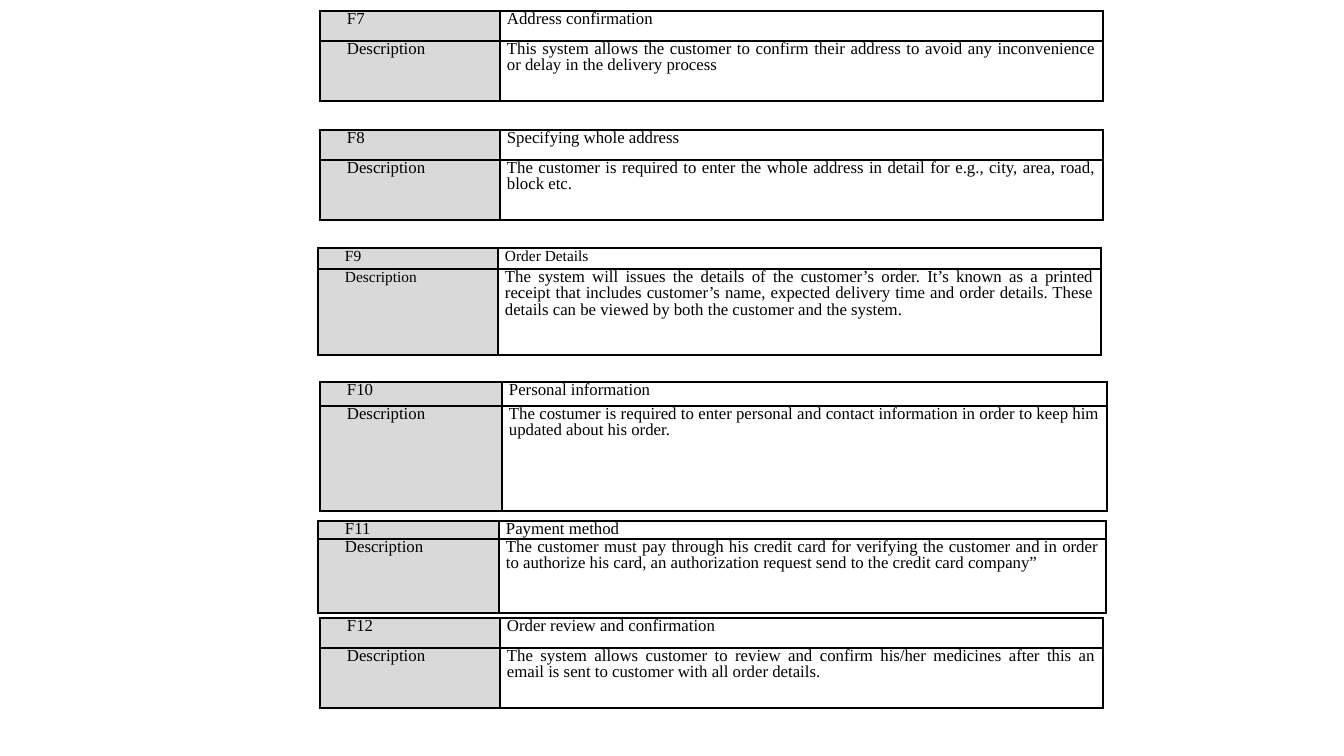
from dataclasses import dataclass
from lxml.etree import SubElement
from pptx import Presentation
from pptx.dml.color import RGBColor
from pptx.enum.text import PP_ALIGN
from pptx.oxml.ns import qn
from pptx.util import Pt


@dataclass
class Theme:
    font: str = "Times New Roman"
    ink: str = "000000"
    label_fill: str = "D9D9D9"
    size: int = 12
    small: int = 11
    leading: int = 12
    space_after: int = 6
    outer: float = 1.5
    inner: float = 1


theme = Theme()


def px(n):
    return round(n * 914400 / 100.8)


def write(cell, text, size=theme.size, align=PP_ALIGN.JUSTIFY, indent=0):
    cell.margin_left = cell.margin_right = px(7)
    cell.margin_top = cell.margin_bottom = 0
    p = cell.text_frame.paragraphs[0]
    p.alignment = align
    p.line_spacing = Pt(theme.leading)
    p.space_after = Pt(theme.space_after)
    pPr = p._p.get_or_add_pPr()
    pPr.set("marL", str(px(indent)))
    pPr.set("indent", "0")
    r = p.add_run()
    r.text = text
    r.font.name = theme.font
    r.font.size = Pt(size)
    r.font.color.rgb = RGBColor.from_string(theme.ink)


def set_borders(cell, **widths):
    tcPr = cell._tc.get_or_add_tcPr()
    for side, width in widths.items():
        ln = SubElement(tcPr, qn(f"a:ln{side}"), w=str(Pt(width)))
        fill = SubElement(ln, qn("a:solidFill"))
        SubElement(fill, qn("a:srgbClr"), val=theme.ink)


prs = Presentation()
prs.slide_width, prs.slide_height = px(1344), px(756)
s = prs.slides.add_slide(prs.slide_layouts[6])

# Features: code, title, description, position, column widths, row heights, heading size
features = [
    ("F7", "Address confirmation",
     "This system allows the customer to confirm their address to avoid any "
     "inconvenience or delay in the delivery process",
     (320, 11), (180, 603), (30, 60), theme.size),
    ("F8", "Specifying whole address",
     "The customer is required to enter the whole address in detail for e.g., "
     "city, area, road, block etc.",
     (320, 130), (180, 603), (30, 60), theme.size),
    ("F9", "Order Details",
     "The system will issues the details of the customer’s order. It’s known as "
     "a printed receipt that includes customer’s name, expected delivery time and "
     "order details. These details can be viewed by both the customer and the system.\u00a0",
     (318, 248), (180, 603), (21, 86), theme.small),
    ("F10", "Personal information",
     "The costumer is required to enter\u00a0personal and contact information in "
     "order to keep him updated about his order.\u00a0",
     (320, 382), (182, 605), (24, 105), theme.size),
    ("F11", "Payment method",
     "The customer must pay through his credit card for verifying the customer "
     "and\u00a0in order to authorize his card, an authorization request send to the "
     "credit card company”",
     (318, 521), (181, 607), (18, 74), theme.size),
    ("F12", "Order review and confirmation",
     "The system allows customer to review and confirm his/her medicines after "
     "this an email is sent to customer with all order details.",
     (320, 618), (180, 603), (30, 60), theme.size),
]

for code, title, description, (x, y), widths, heights, size in features:
    table = s.shapes.add_table(2, 2, px(x), px(y), px(sum(widths)), px(sum(heights))).table
    table.first_row = table.horz_banding = False
    for column, width in zip(table.columns, widths):
        column.width = px(width)
    for row, height in zip(table.rows, heights):
        row.height = px(height)

    # Text
    write(table.cell(0, 0), code, size=size, indent=20)
    write(table.cell(0, 1), title, size=size, align=PP_ALIGN.LEFT)
    write(table.cell(1, 0), "Description", size=size, indent=20)
    write(table.cell(1, 1), description)

    # Heavy frame, thin inner lines, grey label column
    for i in range(2):
        for j in range(2):
            cell = table.cell(i, j)
            set_borders(cell,
                        L=theme.inner if j else theme.outer,
                        R=theme.outer if j else theme.inner,
                        T=theme.inner if i else theme.outer,
                        B=theme.outer if i else theme.inner)
            if j:
                cell.fill.background()
            else:
                cell.fill.solid()
                cell.fill.fore_color.rgb = RGBColor.from_string(theme.label_fill)

prs.save("out.pptx")
